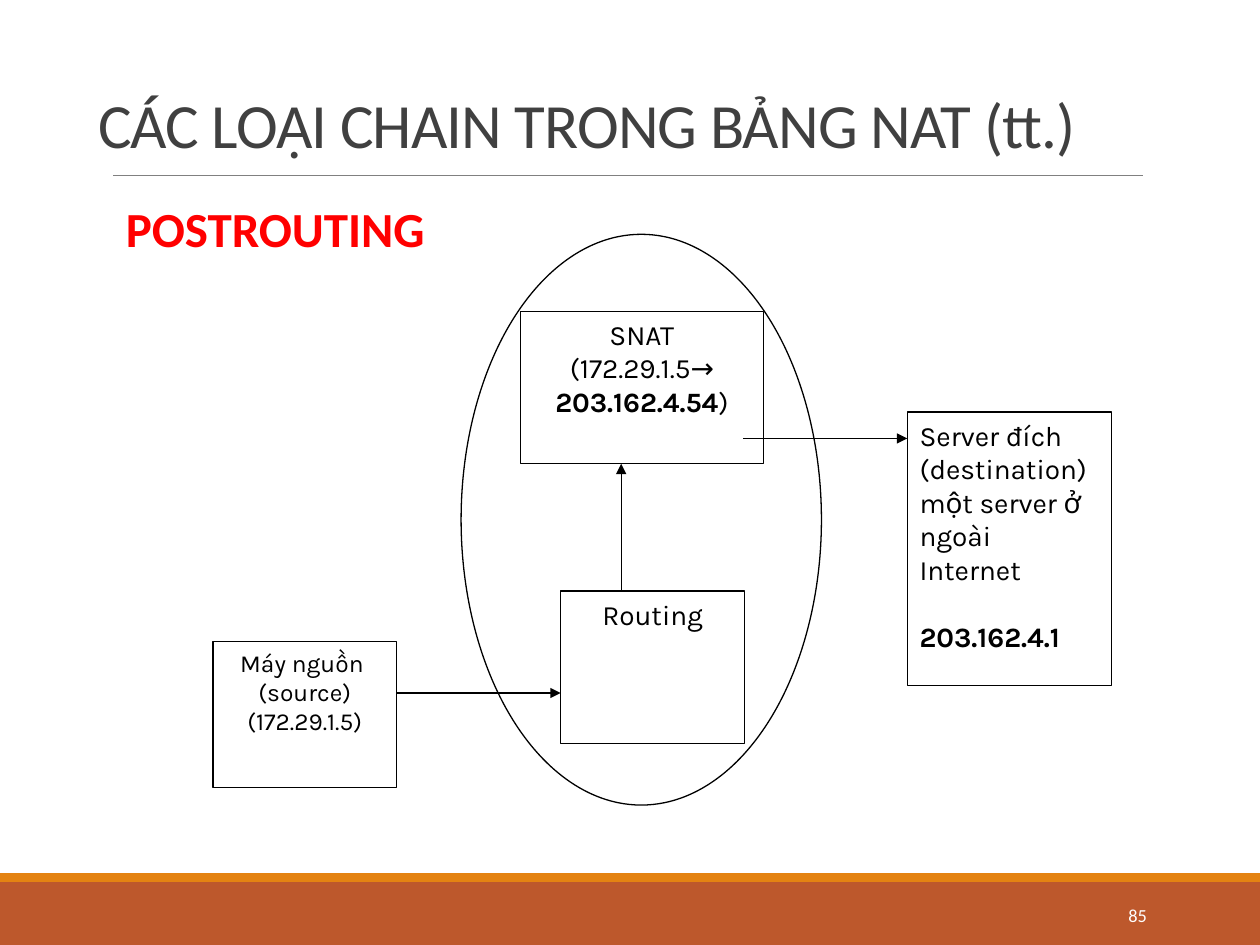
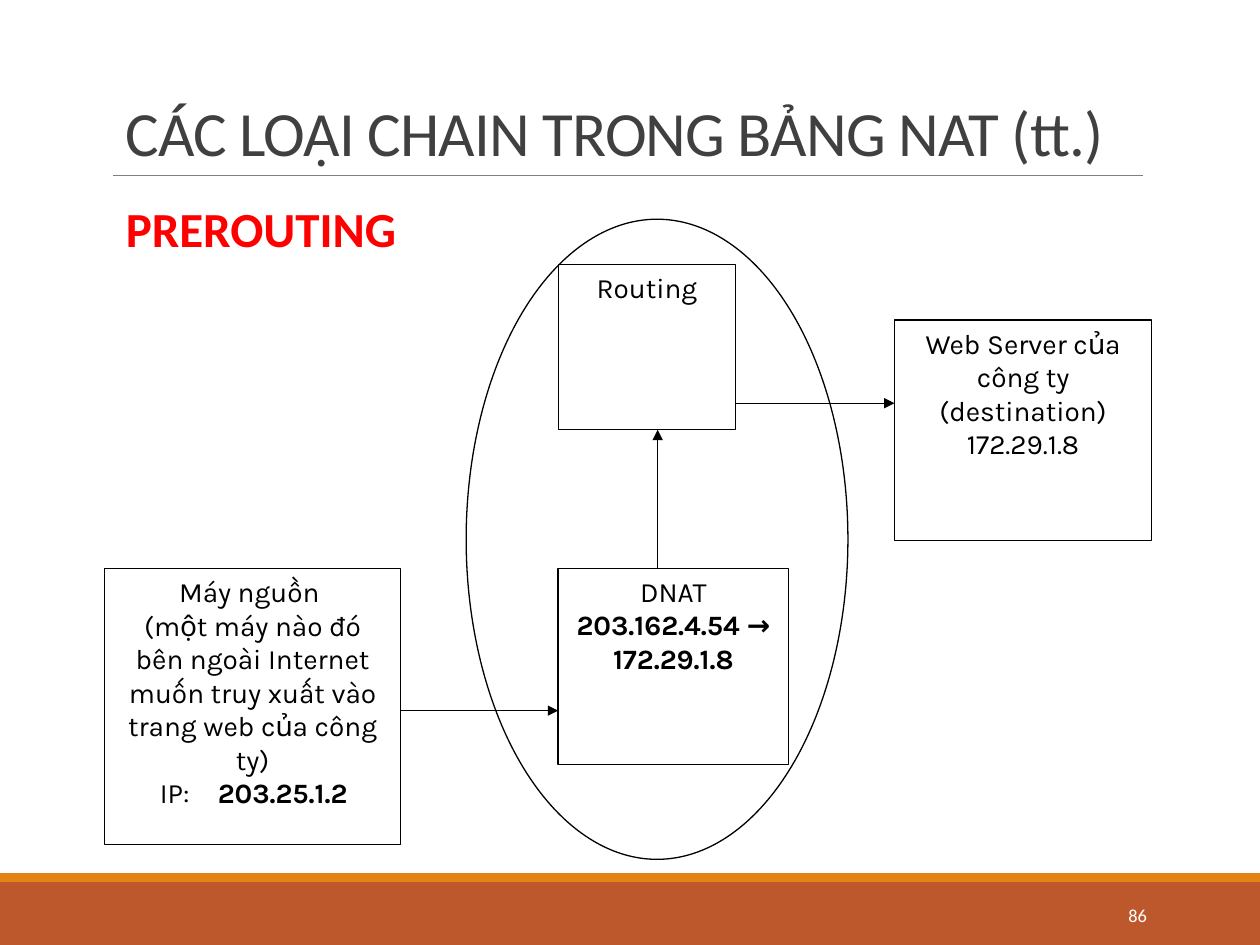
from lxml.etree import SubElement
from pptx import Presentation
from pptx.dml.color import RGBColor
from pptx.enum.shapes import MSO_CONNECTOR, MSO_SHAPE
from pptx.enum.text import MSO_ANCHOR, PP_ALIGN
from pptx.oxml.ns import qn
from pptx.util import Inches, Pt

BLACK = RGBColor(0x00, 0x00, 0x00)
WHITE = RGBColor(0xFF, 0xFF, 0xFF)
RED = RGBColor(0xFF, 0x00, 0x00)
GRAY = RGBColor(0x80, 0x80, 0x80)
TITLE_GRAY = RGBColor(0x40, 0x40, 0x40)
RUST = RGBColor(0xBD, 0x58, 0x2C)
ORANGE = RGBColor(0xE4, 0x83, 0x12)

TITLE = "CÁC LOẠI CHAIN TRONG BẢNG NAT (tt.)"
BANDS = [(7, 0.5, RUST), (6.93, 0.07, ORANGE)]
CENTER, LEFT = PP_ALIGN.CENTER, PP_ALIGN.LEFT

CHAINS = [
    {
        "name": "POSTROUTING",
        "number": "85",
        "title_place": (0.68, 0.15, 8.73, 1.18),
        "boxes": [
            ((4.13, 2.47, 1.93, 1.21), 16, CENTER,
             [[("SNAT", False)],
              [("(172.29.1.5→ ", False), ("203.162.4.54", True), (")", False)]]),
            ((4.45, 4.69, 1.46, 1.21), 16, CENTER, [[("Routing", False)]]),
            ((7.2, 3.27, 1.62, 2.17), 16, LEFT,
             [[("Server đích", False)],
              [("(destination)", False)],
              [("một server ở ngoài Internet", False)],
              [("203.162.4.1", True)]]),
            ((1.69, 5.09, 1.46, 1.16), 14, CENTER,
             [[("Máy nguồn ", False)], [("(source)", False)], [("(172.29.1.5)", False)]]),
        ],
        "arrows": [(4.93, 4.69, 4.93, 3.68), (5.9, 3.48, 7.2, 3.48), (3.15, 5.5, 4.45, 5.5)],
        "firewall_place": (3.66, 1.86, 2.86, 4.53),
    },
    {
        "name": "PREROUTING",
        "number": "86",
        "title_place": (0.9, 0.31, 8.25, 1.08),
        "boxes": [
            ((4.43, 4.51, 1.83, 1.56), 16, CENTER,
             [[("DNAT", False)], [("203.162.4.54 →", True)], [("172.29.1.8", True)]]),
            ((4.43, 2.1, 1.41, 1.31), 16, CENTER, [[("Routing", False)]]),
            ((7.1, 2.54, 2.04, 1.75), 16, CENTER,
             [[("Web Server của công ty", False)],
              [("(destination)", False)],
              [("172.29.1.8", False)]]),
            ((0.83, 4.51, 2.35, 2.19), 16, CENTER,
             [[("Máy nguồn ", False)],
              [("(một máy nào đó bên ngoài Internet muốn truy xuất vào "
                "trang web của công ty)", False)],
              [("IP:\t", False), ("203.25.1.2", True)]]),
        ],
        "arrows": [(5.22, 4.51, 5.22, 3.41), (5.84, 3.2, 7.1, 3.2), (3.18, 5.64, 4.43, 5.64)],
        "firewall_place": (3.7, 1.74, 3.03, 5.08),
    },
]


def add_text(paragraph, text, font_name, size, color, bold=False):
    run = paragraph.add_run()
    run.text = text
    run.font.name = font_name
    run.font.size = Pt(size)
    run.font.color.rgb = color
    run.font.bold = bold
    return run


def add_line(slide, points, color, width):
    line = slide.shapes.add_connector(MSO_CONNECTOR.STRAIGHT, *map(Inches, points))
    line.line.color.rgb = color
    line.line.width = Pt(width)
    SubElement(line._element.spPr, qn("a:effectLst"))
    return line


presentation = Presentation()
presentation.slide_width = Inches(10)
presentation.slide_height = Inches(7.5)

for chain in CHAINS:
    slide = presentation.slides.add_slide(presentation.slide_layouts[6])

    for top, height, color in BANDS:
        band = slide.shapes.add_shape(
            MSO_SHAPE.RECTANGLE, 0, Inches(top), Inches(10), Inches(height))
        band.shadow.inherit = False
        band.fill.solid()
        band.fill.fore_color.rgb = color
        band.line.fill.background()
    add_line(slide, (0.9, 1.39, 9.07, 1.39), GRAY, 0.5)

    title = slide.shapes.add_textbox(*map(Inches, chain["title_place"])).text_frame
    title.word_wrap = True
    title.vertical_anchor = MSO_ANCHOR.BOTTOM
    title.paragraphs[0].line_spacing = 0.85
    title_run = add_text(title.paragraphs[0], TITLE, "Calibri", 36, TITLE_GRAY)
    title_run._r.get_or_add_rPr().set("spc", "-50")

    heading = slide.shapes.add_textbox(
        Inches(0.9), Inches(1.58), Inches(8.25), Inches(0.6)).text_frame
    heading.word_wrap = True
    heading.paragraphs[0].line_spacing = 0.9
    add_text(heading.paragraphs[0], chain["name"], "Calibri", 28, RED, True)

    for place, size, alignment, lines in chain["boxes"]:
        box = slide.shapes.add_shape(MSO_SHAPE.RECTANGLE, *map(Inches, place))
        box.shadow.inherit = False
        box.fill.solid()
        box.fill.fore_color.rgb = WHITE
        box.line.color.rgb = BLACK
        box.line.width = Pt(0.75)
        frame = box.text_frame
        frame.word_wrap = True
        frame.vertical_anchor = MSO_ANCHOR.TOP
        for index, pieces in enumerate(lines):
            paragraph = frame.add_paragraph() if index else frame.paragraphs[0]
            paragraph.alignment = alignment
            for text, bold in pieces:
                add_text(paragraph, text, "Karla", size, BLACK, bold)
            if pieces[0][0].endswith("\t"):
                paragraph.alignment = LEFT
                properties = paragraph._p.get_or_add_pPr()
                properties.set("marL", str(Inches(0.8)))
                properties.set("indent", str(Inches(-0.46)))
        if alignment == LEFT:
            frame.paragraphs[-1].space_before = Pt(19)

    for points in chain["arrows"]:
        arrow = add_line(slide, points, BLACK, 0.75)
        SubElement(arrow.line._get_or_add_ln(), qn("a:tailEnd"), type="triangle")

    firewall = slide.shapes.add_shape(MSO_SHAPE.OVAL, *map(Inches, chain["firewall_place"]))
    firewall.shadow.inherit = False
    firewall.fill.background()
    firewall.line.color.rgb = BLACK
    firewall.line.width = Pt(0.75)

    footer = slide.shapes.add_textbox(
        Inches(8.12), Inches(7.06), Inches(1.08), Inches(0.4)).text_frame
    footer.word_wrap = True
    footer.vertical_anchor = MSO_ANCHOR.MIDDLE
    footer.paragraphs[0].alignment = PP_ALIGN.RIGHT
    add_text(footer.paragraphs[0], chain["number"], "Calibri", 10.5, WHITE)

presentation.save("out.pptx")
